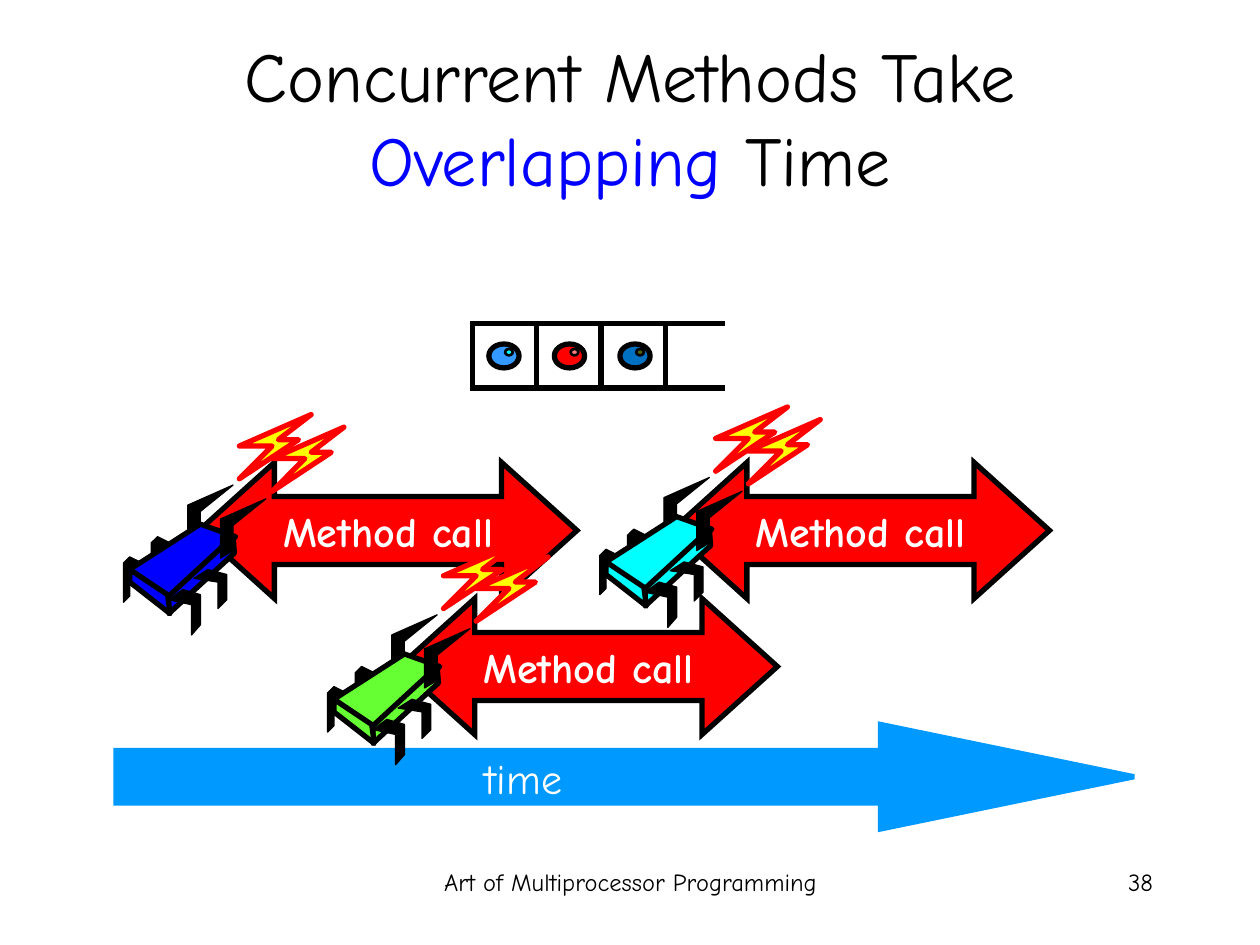
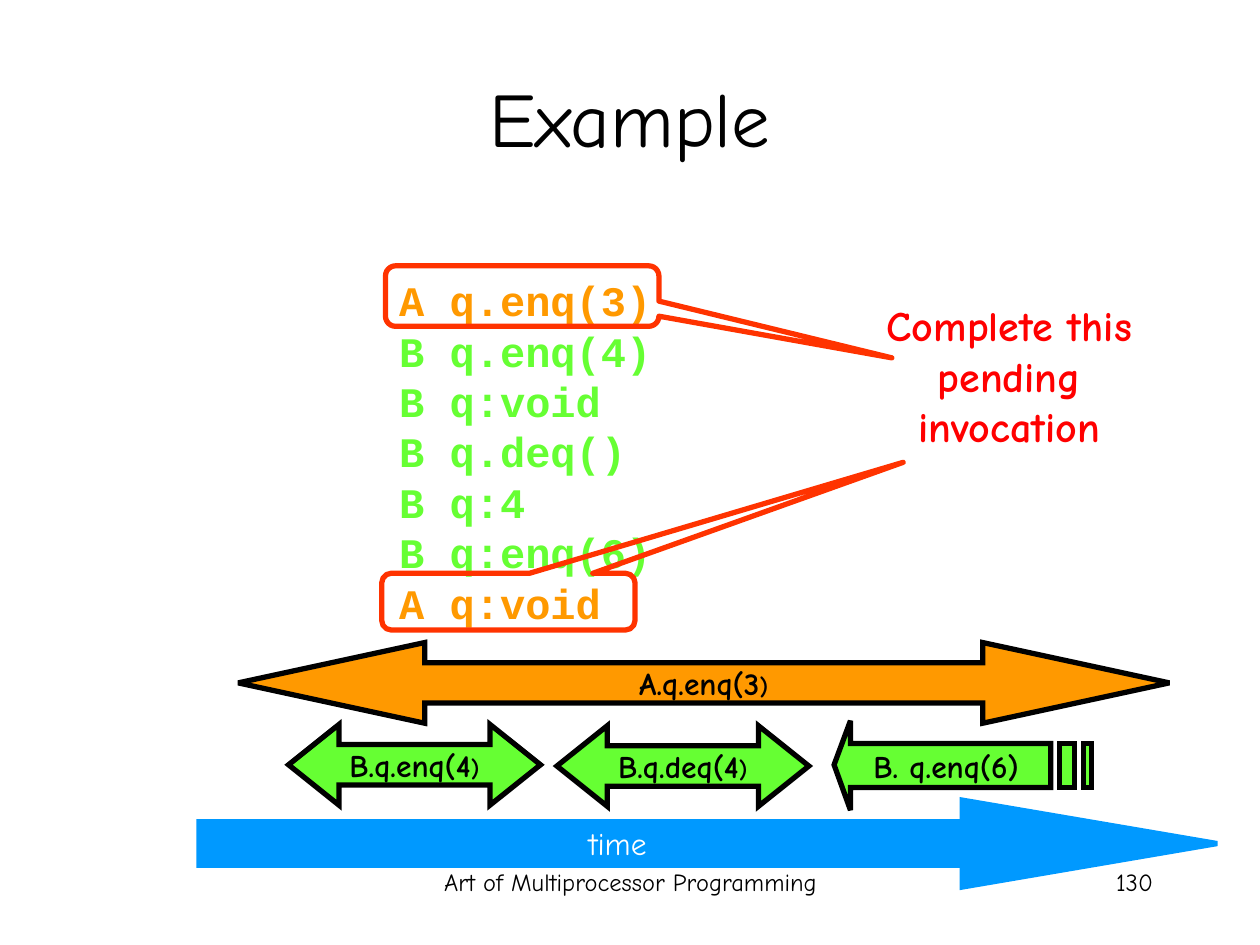
import typing

import lxml.etree
import pptx
import pptx.dml.color
import pptx.enum.shapes
import pptx.enum.text
import pptx.oxml.ns
import pptx.util

EMU_PER_PX = 9144  # 100 px to the inch
BODY_FONT = "Comic Neue"
CODE_FONT = "Courier New"
COLORS = {
    "black": "000000", "white": "FFFFFF", "red": "FF0000", "blue": "0000FF",
    "cyan": "00FFFF", "green": "66FF33", "orange": "FF9900", "yellow": "FFFF00",
    "time": "0099FF", "callout": "FF3300", "sky": "3399FF", "pink": "FF7C80",
    "navy": "0070C0", "olive": "4C6600",
}
GEOMETRY = pptx.enum.shapes.MSO_SHAPE
ALIGN = pptx.enum.text.PP_ALIGN
ANCHOR = pptx.enum.text.MSO_ANCHOR
Points = list[tuple[int, int]]


class Box(typing.NamedTuple):
    left: int
    top: int
    width: int
    height: int


class Style(typing.NamedTuple):
    fill: str | None
    line: str = "black"
    line_width: float = 3
    sharp: bool = False


class Run(typing.NamedTuple):
    text: str
    color: str | None = None
    size: int | None = None


class TextStyle(typing.NamedTuple):
    size: int
    color: str = "black"
    bold: bool = False
    align: ALIGN = ALIGN.CENTER
    font: str = BODY_FONT
    anchor: ANCHOR = ANCHOR.TOP
    wrap: bool = True


class Part(typing.NamedTuple):
    """One outline of a thread bug; a style of None takes the bug's own color."""
    outline: Points
    left: int = 0
    top: int = 0
    style: Style | None = None


class Operation(typing.NamedTuple):
    box: Box
    head: float
    fill: str
    runs: list[Run]


DARK = Style("black", line_width=0.75)
SPARK = Style("yellow", "red")
BOLT = [(0, 51), (26, 25), (0, 25), (57, 0), (31, 20), (47, 20)]
ANTENNA = [(0, 47), (10, 41), (10, 21), (36, 0), (0, 16)]
LEFT_LEG = [(15, 5), (5, 0), (0, 5), (0, 36), (5, 31), (5, 10), (15, 15)]
BUG_PARTS = [
    Part(BOLT, 92, 0, SPARK),
    Part(ANTENNA, 51, 56, DARK),
    Part(LEFT_LEG, 0, 113, DARK),
    Part(LEFT_LEG, 22, 97, DARK),
    Part([(61, 87), (5, 123), (36, 145), (89, 97)]),
    Part([(87, 97), (36, 144), (36, 158), (88, 110)]),
    Part([(5, 123), (5, 133), (37, 158), (35, 143)]),
    Part([(47, 139), (36, 147), (54, 151), (54, 175), (61, 167), (61, 143)], style=DARK),
    Part([(67, 123), (56, 130), (75, 133), (75, 154), (82, 147), (82, 127)], style=DARK),
    Part(ANTENNA, 77, 67, DARK),
    Part(BOLT, 118, 10, SPARK),
]


def px(length: int) -> pptx.util.Emu:
    return pptx.util.Emu(length * EMU_PER_PX)


def rgb(name: str) -> pptx.dml.color.RGBColor:
    return pptx.dml.color.RGBColor.from_string(COLORS[name])


def paint(shape, style: Style) -> None:
    shape.shadow.inherit = False
    if style.fill is None:
        shape.fill.background()
    else:
        shape.fill.solid()
        shape.fill.fore_color.rgb = rgb(style.fill)
    shape.line.color.rgb = rgb(style.line)
    shape.line.width = pptx.util.Pt(style.line_width)
    if style.sharp:
        outline = shape._element.spPr.find(pptx.oxml.ns.qn("a:ln"))
        lxml.etree.SubElement(outline, pptx.oxml.ns.qn("a:miter"), lim="800000")


def write(shape, paragraphs: list[list[Run]], style: TextStyle) -> None:
    frame = shape.text_frame
    frame.word_wrap = style.wrap
    frame.vertical_anchor = style.anchor
    for index, runs in enumerate(paragraphs):
        paragraph = frame.add_paragraph() if index else frame.paragraphs[0]
        paragraph.alignment = style.align
        paragraph.font.name = style.font
        paragraph.font.size = pptx.util.Pt(style.size)
        paragraph.font.bold = style.bold
        paragraph.font.color.rgb = rgb(style.color)
        for item in runs:
            run = paragraph.add_run()
            run.text = item.text
            if item.color:
                run.font.color.rgb = rgb(item.color)
            if item.size:
                run.font.size = pptx.util.Pt(item.size)


def add_text(slide, box: Box, paragraphs: list[list[Run]], style: TextStyle):
    shape = slide.shapes.add_textbox(*map(px, box))
    write(shape, paragraphs, style)
    return shape


def add_preset(slide, geometry: GEOMETRY, box: Box, style: Style,
               adjustments: typing.Sequence[float] = ()):
    shape = slide.shapes.add_shape(geometry, *map(px, box))
    for index, value in enumerate(adjustments):
        shape.adjustments[index] = value
    paint(shape, style)
    return shape


def add_outline(slide, contours: list[Points], style: Style):
    builder = slide.shapes.build_freeform(*contours[0][0], scale=EMU_PER_PX)
    for index, contour in enumerate(contours):
        if index:
            builder.move_to(*contour[0])
        builder.add_line_segments(contour[1:], close=True)
    shape = builder.convert_to_shape()
    paint(shape, style)
    return shape


def add_line(slide, left: int, right: int, y: int) -> None:
    line = slide.shapes.add_connector(
        pptx.enum.shapes.MSO_CONNECTOR.STRAIGHT, px(left), px(y), px(right), px(y))
    line.line.color.rgb = rgb("black")
    line.line.width = pptx.util.Pt(3)
    lxml.etree.SubElement(line._element.spPr, pptx.oxml.ns.qn("a:effectLst"))


def add_base_slide(presentation, title: list[Run], title_size: int, number: int):
    slide = presentation.slides.add_slide(presentation.slide_layouts[6])
    add_text(slide, Box(342, 683, 317, 50),
             [[Run("Art of Multiprocessor Programming")]], TextStyle(14))
    add_text(slide, Box(717, 683, 208, 50), [[Run(str(number))]],
             TextStyle(14, align=ALIGN.RIGHT))
    add_text(slide, Box(50, 30, 900, 125), [title],
             TextStyle(title_size, anchor=ANCHOR.MIDDLE))
    return slide


def add_time_arrow(slide, box: Box, head: float, label: Box, label_size: int) -> None:
    add_preset(slide, GEOMETRY.RIGHT_ARROW, box, Style("time", "time", sharp=True), (0.5, head))
    add_text(slide, label, [[Run("time")]],
             TextStyle(label_size, "white", align=ALIGN.RIGHT, wrap=False))


def add_operation(slide, operation: Operation, style: TextStyle) -> None:
    arrow = add_preset(slide, GEOMETRY.LEFT_RIGHT_ARROW, operation.box,
                       Style(operation.fill, sharp=True), (0.5, operation.head))
    write(arrow, [operation.runs], style)


def add_queue(slide) -> None:
    """Draw three cells, each holding a bead, and the open end of the queue."""
    left, top, cell = 375, 257, 51
    beads = [("sky", "cyan"), ("red", "pink"), ("navy", "olive")]
    for index, (color, glint) in enumerate(beads):
        bead_left = left + 13 + 52 * index
        add_preset(slide, GEOMETRY.RECTANGLE, Box(left + cell * index, top, cell, cell),
                   Style(None, sharp=True))
        add_preset(slide, GEOMETRY.OVAL, Box(bead_left, top + 16, 24, 19), Style(color))
        add_preset(slide, GEOMETRY.OVAL, Box(bead_left + 13, top + 20, 6, 5),
                   Style(glint, line_width=1.5))
    for y in (top, top + cell):
        add_line(slide, 524, 575, y)


def add_bug(slide, left: int, top: int, color: str) -> None:
    for part in BUG_PARTS:
        points = [(left + part.left + x, top + part.top + y) for x, y in part.outline]
        add_outline(slide, [points], part.style or Style(color))


def build_overlap_slide(presentation) -> None:
    title = [Run("Concurrent Methods Take "), Run("Overlapping", "blue"), Run(" Time")]
    slide = add_base_slide(presentation, title, 40, 38)
    add_time_arrow(slide, Box(92, 575, 808, 83), 2.425, Box(367, 592, 89, 50), 24)
    add_queue(slide)
    call_style = TextStyle(24, "white", True, anchor=ANCHOR.MIDDLE, wrap=False)
    for left, top in ((158, 367), (533, 367), (317, 475)):
        call = Operation(Box(left, top, 300, 108), 0.554, "red", [Run("Method call")])
        add_operation(slide, call, call_style)
    for left, top, color in ((98, 329, "blue"), (476, 323, "cyan"), (260, 432, "green")):
        add_bug(slide, left, top, color)


def add_pending_call(slide, style: TextStyle) -> None:
    """Draw the call without a response: a left arrow with a striped tail."""
    arrow = [(675, 572), (675, 590), (834, 590), (834, 625),
             (675, 625), (675, 643), (662, 607)]
    stripes = [[(right, 590), (right, 625), (left, 625), (left, 590)]
               for left, right in ((841, 853), (860, 866))]
    shape = add_outline(slide, [arrow, *stripes], Style("green", sharp=True))
    shape.text_frame.margin_right = px(36)
    write(shape, [[Run("B. q.enq(6)")]], style)


def add_history(slide) -> None:
    lines = ["A q.enq(3)", "B q.enq(4)", "B q:void", "B q.deq()", "B q:4",
             "B q:enq(6)", "A q:void"]
    thread_colors = {"A": "orange", "B": "green"}
    paragraphs = [[Run(line, thread_colors[line[0]])] for line in lines]
    history = add_text(slide, Box(307, 207, 305, 290), paragraphs,
                       TextStyle(24, bold=True, align=ALIGN.LEFT, font=CODE_FONT))
    history.text_frame.margin_top = px(11)
    for paragraph in history.text_frame.paragraphs:
        paragraph.line_spacing = pptx.util.Pt(28.8)


def build_example_slide(presentation) -> None:
    slide = add_base_slide(presentation, [Run("Example")], 44, 130)
    add_text(slide, Box(643, 233, 316, 130),
             [[Run("Complete this pending")], [Run("invocation")]],
             TextStyle(24, "red", True))
    add_time_arrow(slide, Box(158, 635, 808, 69), 2.932, Box(451, 649, 72, 40), 18)
    label_style = TextStyle(18, bold=True, anchor=ANCHOR.MIDDLE, wrap=False)
    closing = Run(")", size=14)
    operations = [
        Operation(Box(229, 575, 200, 64), 0.626, "green", [Run("B.q.enq(4"), closing]),
        Operation(Box(442, 576, 200, 64), 0.626, "green", [Run("B.q.deq(4"), closing]),
        Operation(Box(189, 510, 739, 64), 2.313, "orange", [Run("A.q.enq(3"), closing]),
    ]
    for operation in operations:
        add_operation(slide, operation, label_style)
    add_pending_call(slide, label_style)
    add_history(slide)
    callouts = [
        (Box(306, 211, 217, 48), (1.352, 1.022, 0.167)),
        (Box(303, 455, 201, 45), (1.559, -2.458, 0.167)),
    ]
    for box, pointer in callouts:
        add_preset(slide, GEOMETRY.ROUNDED_RECTANGULAR_CALLOUT, box,
                   Style(None, "callout"), pointer)


def main() -> None:
    presentation = pptx.Presentation()
    presentation.slide_width = px(1000)
    presentation.slide_height = px(750)
    build_overlap_slide(presentation)
    build_example_slide(presentation)
    presentation.save("out.pptx")


if __name__ == "__main__":
    main()
